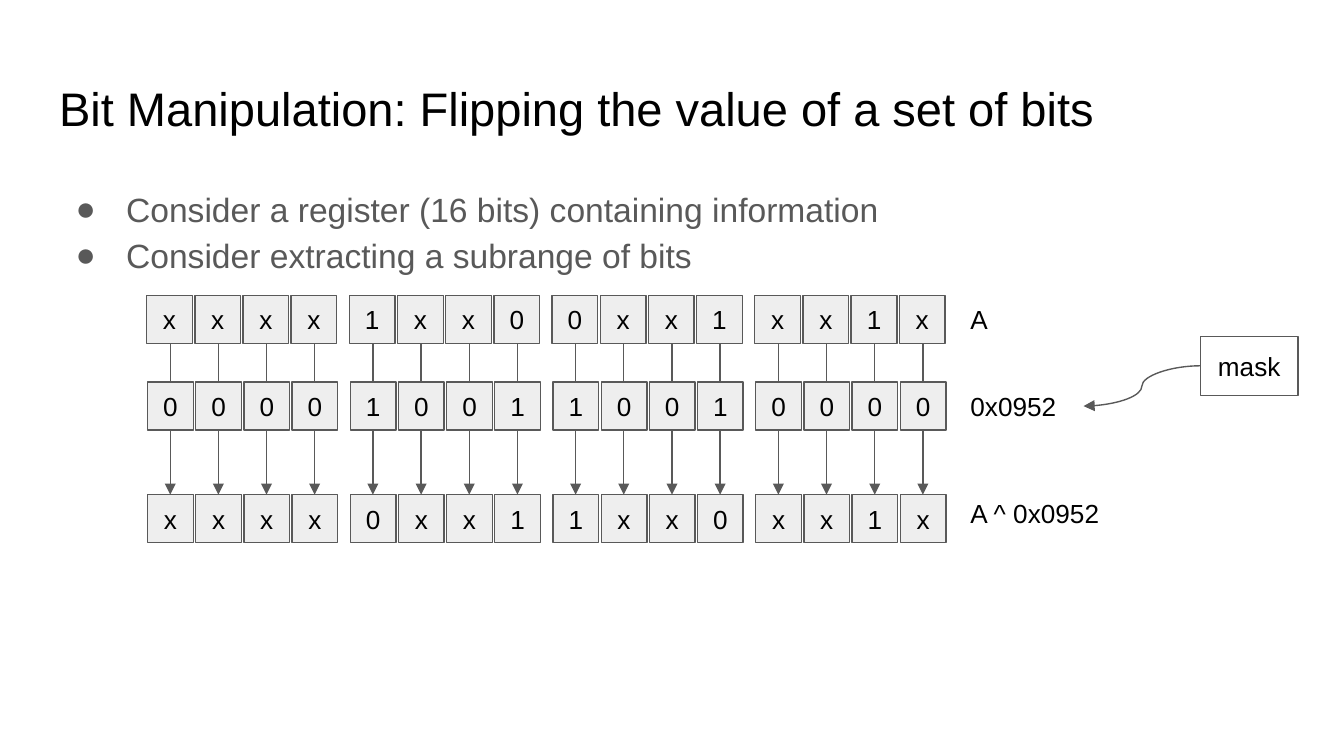
"""Builds a slide showing how XOR with a mask flips chosen bits of a register."""
from lxml import etree
from pptx import Presentation
from pptx.dml.color import RGBColor
from pptx.enum.shapes import MSO_CONNECTOR, MSO_SHAPE
from pptx.enum.text import MSO_ANCHOR, PP_ALIGN
from pptx.oxml.ns import qn
from pptx.util import Pt

STRAIGHT, CURVE = MSO_CONNECTOR.STRAIGHT, MSO_CONNECTOR.CURVE
RECTANGLE = MSO_SHAPE.RECTANGLE
TOP, MIDDLE = MSO_ANCHOR.TOP, MSO_ANCHOR.MIDDLE
LEFT, CENTER = PP_ALIGN.LEFT, PP_ALIGN.CENTER

TITLE = "Bit Manipulation: Flipping the value of a set of bits"
BULLETS = [
    "Consider a register (16 bits) containing information",
    "Consider extracting a subrange of bits",
]
REGISTERS = [
    {"bits": "xxxx 1xx0 0xx1 xx1x", "left": 78.6, "top": 158.2,
     "label": "A", "label_top": 155.5, "label_width": 27},
    {"bits": "0000 1001 1001 0000", "left": 79.1, "top": 204.7,
     "label": "0x0952", "label_top": 201.8, "label_width": 68},
    {"bits": "xxxx 0xx1 1xx0 xx1x", "left": 79.1, "top": 265,
     "label": "A ^ 0x0952", "label_top": 259.2, "label_width": 102},
]
MASK = "mask"

FONT = "Arial"
BLACK, GRAY, PALE = "000000", "595959", "EEEEEE"
CELL_WIDTH, CELL_HEIGHT = 24.5, 25.8
BIT_PITCH, NIBBLE_PITCH = 25.8, 108.6
LABEL_LEFT, LABEL_HEIGHT = 512.8, 31.5
ARROW_LEFT, ARROW_TOP = 91.2, 184


def color(hex_code):
    return RGBColor.from_string(hex_code)


def write(shape, lines, size, ink=BLACK, align=LEFT, anchor=TOP):
    frame = shape.text_frame
    frame.word_wrap = True
    frame.vertical_anchor = anchor
    frame.margin_left = frame.margin_right = Pt(7.2)
    frame.margin_top = frame.margin_bottom = Pt(7.2)
    frame.text = "\n".join(lines)
    for paragraph in frame.paragraphs:
        paragraph.alignment = align
        paragraph.font.name = FONT
        paragraph.font.size = Pt(size)
        paragraph.font.color.rgb = color(ink)


def add_text(slide, box, lines, size, ink=BLACK):
    text_box = slide.shapes.add_textbox(*map(Pt, box))
    write(text_box, lines, size, ink)
    return text_box


def add_bullets(slide, box):
    body = add_text(slide, box, BULLETS, 18, GRAY)
    for paragraph in body.text_frame.paragraphs:
        paragraph.line_spacing = 1.15
        properties = paragraph._p.get_or_add_pPr()
        properties.set("marL", str(Pt(36)))
        properties.set("indent", str(-Pt(27)))
        bullet_color = etree.SubElement(properties, qn("a:buClr"))
        etree.SubElement(bullet_color, qn("a:srgbClr"), val=GRAY)
        etree.SubElement(properties, qn("a:buFont"), typeface=FONT)
        etree.SubElement(properties, qn("a:buChar"), char="●")


def add_box(slide, box, text, fill=None, anchor=TOP):
    rectangle = slide.shapes.add_shape(RECTANGLE, *map(Pt, box))
    rectangle.shadow.inherit = False
    if fill:
        rectangle.fill.solid()
        rectangle.fill.fore_color.rgb = color(fill)
    else:
        rectangle.fill.background()
    rectangle.line.color.rgb = color(GRAY)
    rectangle.line.width = Pt(0.75)
    write(rectangle, [text], 14, align=CENTER, anchor=anchor)


def add_arrow(slide, kind, start, end):
    arrow = slide.shapes.add_connector(kind, *map(Pt, start + end))
    arrow.line.color.rgb = color(GRAY)
    arrow.line.width = Pt(0.75)
    etree.SubElement(arrow.line._get_or_add_ln(), qn("a:tailEnd"), type="triangle")
    etree.SubElement(arrow._element.spPr, qn("a:effectLst"))


def bit_offsets(bits):
    for nibble_index, nibble in enumerate(bits.split()):
        for bit_index, bit in enumerate(nibble):
            yield nibble_index * NIBBLE_PITCH + bit_index * BIT_PITCH, bit


def main():
    deck = Presentation()
    deck.slide_width, deck.slide_height = Pt(720), Pt(405)
    slide = deck.slides.add_slide(deck.slide_layouts[5])

    title = slide.shapes.title
    title.left, title.top, title.width, title.height = map(Pt, (24.5, 35.3, 671, 45.4))
    write(title, [TITLE], 25.2)
    add_bullets(slide, (24.5, 90.7, 671, 269.3))

    result_top = REGISTERS[-1]["top"]
    for offset, _ in bit_offsets(REGISTERS[0]["bits"]):
        x = ARROW_LEFT + offset
        add_arrow(slide, STRAIGHT, (x, ARROW_TOP), (x, result_top))

    for register in REGISTERS:
        for offset, bit in bit_offsets(register["bits"]):
            cell = (register["left"] + offset, register["top"], CELL_WIDTH, CELL_HEIGHT)
            add_box(slide, cell, bit, PALE, MIDDLE)
        label = (LABEL_LEFT, register["label_top"], register["label_width"], LABEL_HEIGHT)
        add_text(slide, label, [register["label"]], 14)

    add_box(slide, (643, 180.3, 52.5, 31.5), MASK)
    add_arrow(slide, CURVE, (643, 196), (580.5, 217.6))
    deck.save("out.pptx")


if __name__ == "__main__":
    main()
